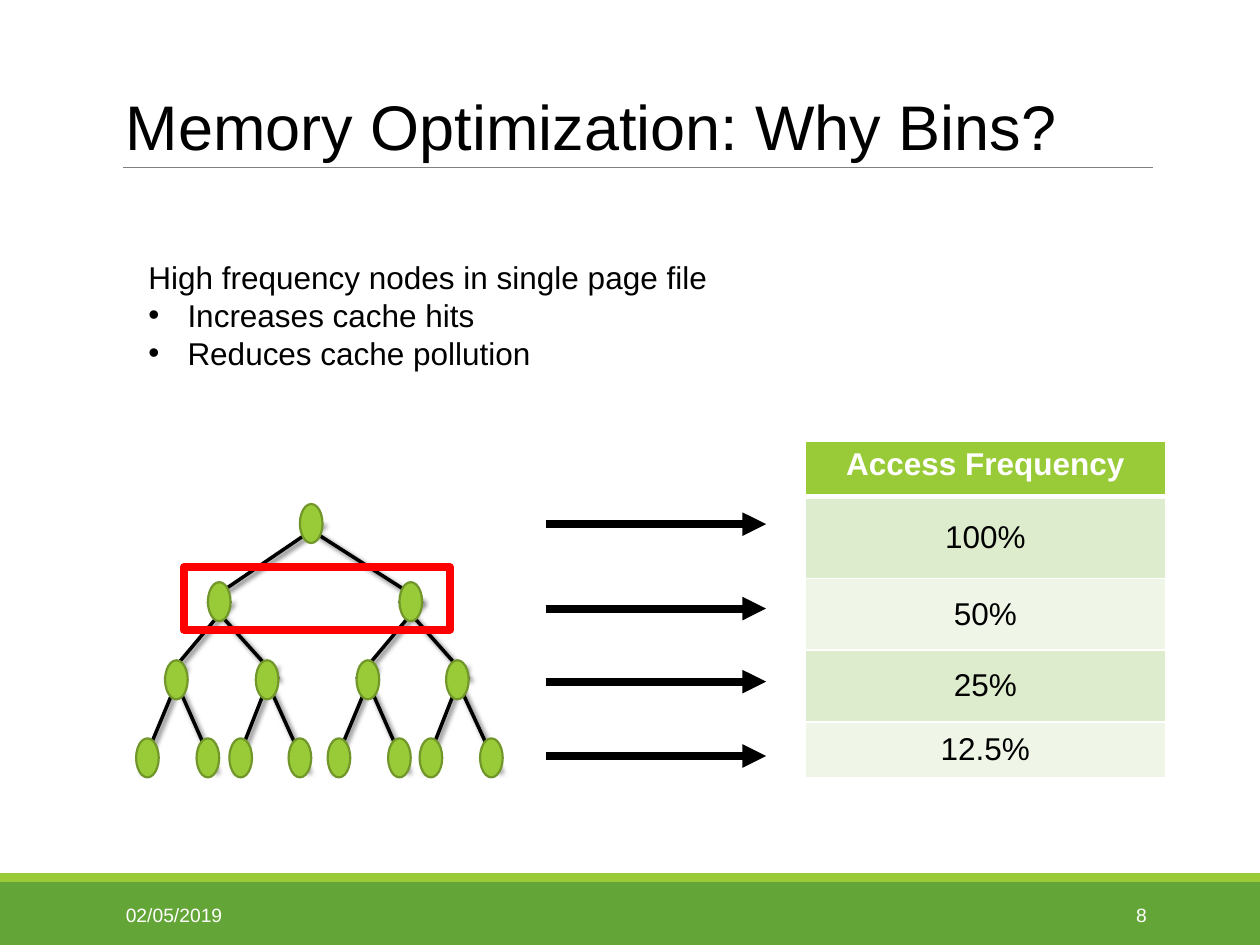
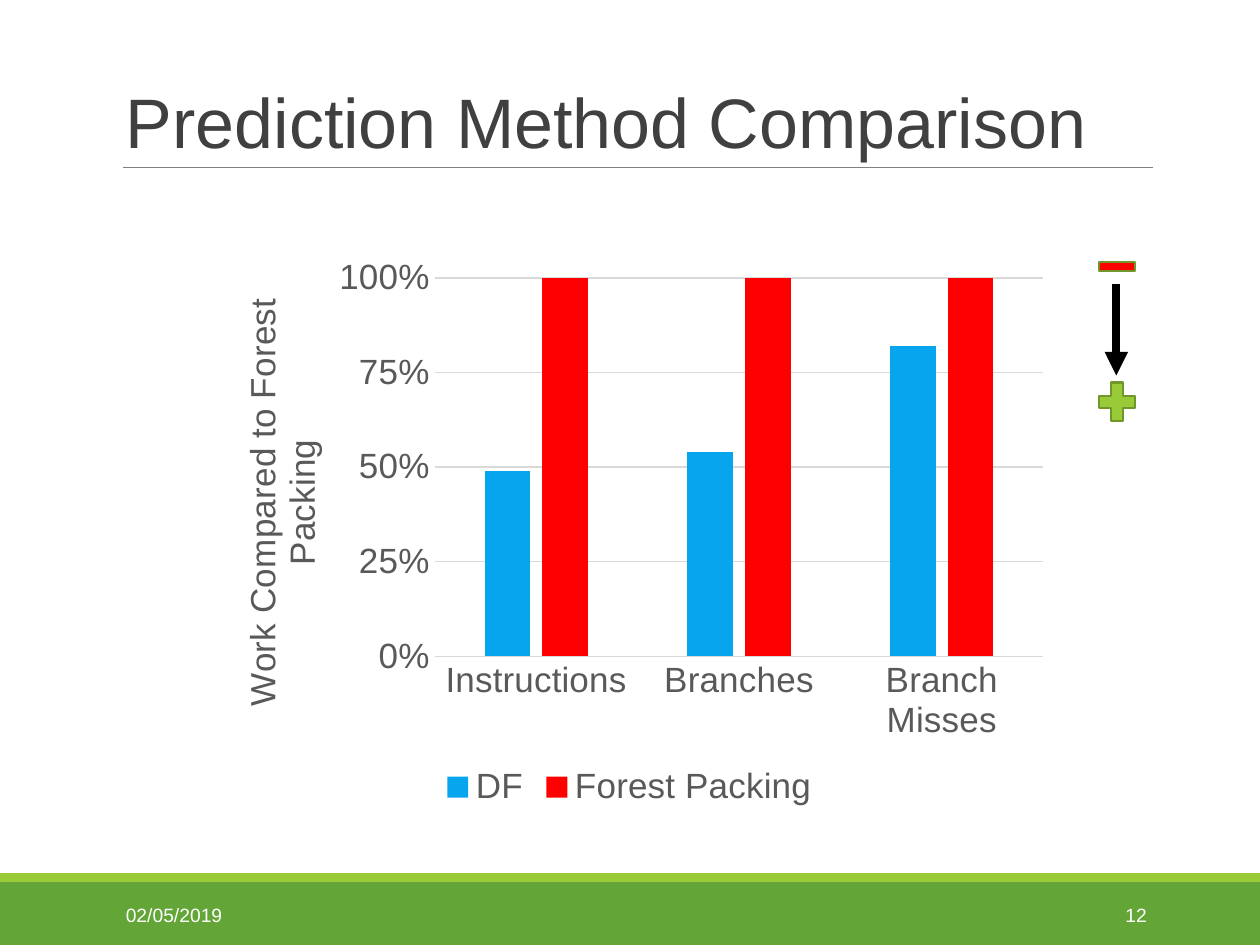
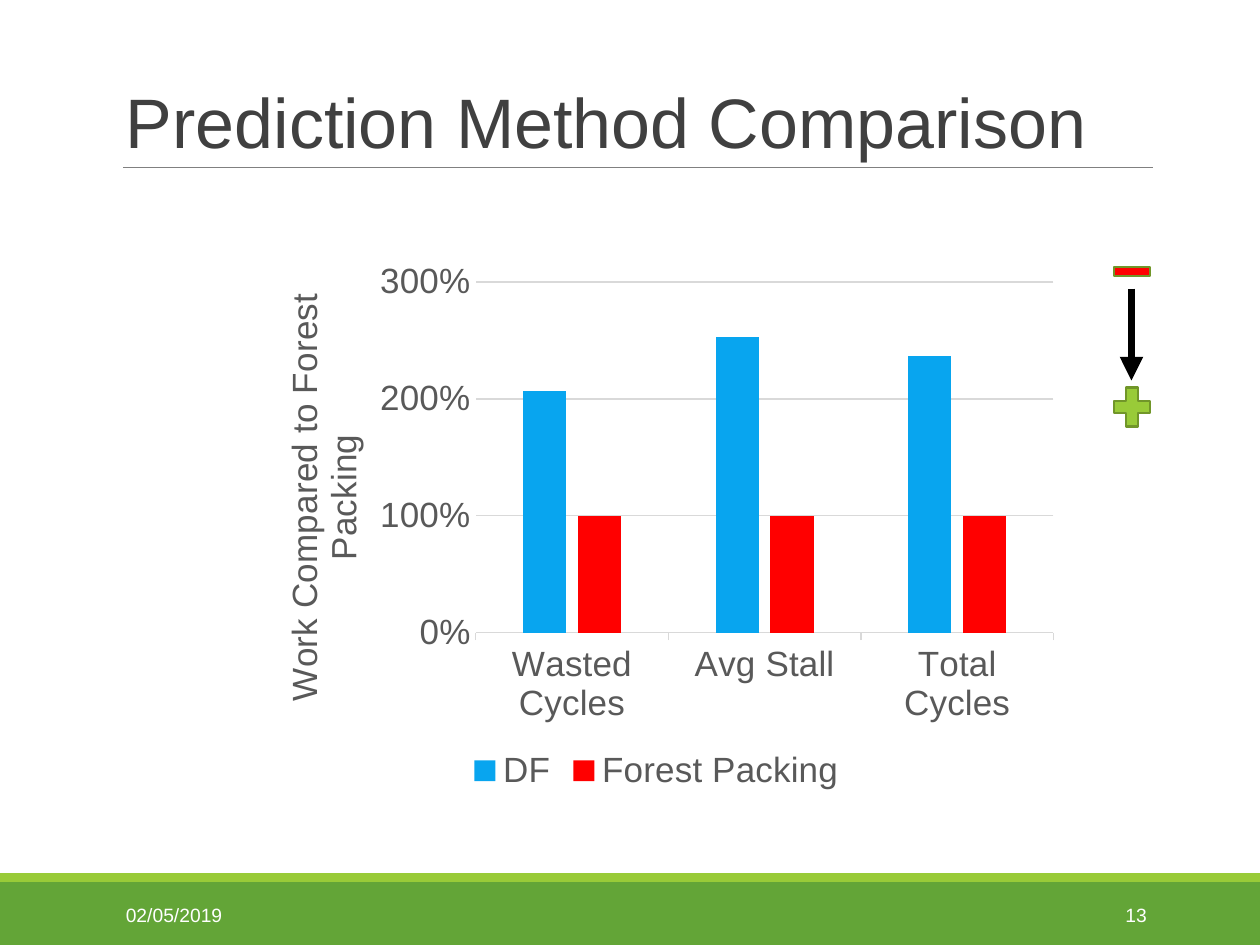
from dataclasses import dataclass

from lxml.etree import SubElement
from pptx import Presentation
from pptx.chart.data import CategoryChartData
from pptx.dml.color import RGBColor
from pptx.enum.chart import XL_CHART_TYPE as ChartType
from pptx.enum.chart import XL_LEGEND_POSITION as LegendPosition
from pptx.enum.chart import XL_TICK_MARK as TickMark
from pptx.enum.shapes import MSO_CONNECTOR as Connector
from pptx.enum.shapes import MSO_SHAPE as Preset
from pptx.enum.text import MSO_ANCHOR as Anchor
from pptx.enum.text import MSO_AUTO_SIZE as AutoSize
from pptx.enum.text import PP_ALIGN as Align
from pptx.oxml import parse_xml
from pptx.oxml.ns import nsdecls, qn
from pptx.util import Emu, Inches, Pt


# Theme
@dataclass(frozen=True)
class Theme:
    font: str = "Arial"
    black: str = "000000"
    white: str = "FFFFFF"
    dark_green: str = "63A537"
    green: str = "99CB38"
    outline: str = "719629"
    red: str = "FF0000"
    blue: str = "08A5EF"
    title_gray: str = "404040"
    rule_gray: str = "808080"
    chart_gray: str = "595959"
    grid_gray: str = "D9D9D9"
    row_tints: tuple[str, str] = ("DEECCE", "EFF6E8")
    title_size: int = 40
    small_title_size: int = 36
    chart_size: int = 20
    body_size: int = 18
    footer_size: int = 11
    arrow_width: float = 4.5


THEME = Theme()


@dataclass(frozen=True)
class Box:
    left: float
    top: float
    width: float
    height: float

    def lengths(self) -> tuple[Emu, Emu, Emu, Emu]:
        return Inches(self.left), Inches(self.top), Inches(self.width), Inches(self.height)


@dataclass(frozen=True)
class Layout:
    """Manual chart layout in fractions of the chart frame."""
    x: float
    y: float
    width: float = 0
    height: float = 0


@dataclass(frozen=True)
class ComparisonSlide:
    number: int
    frame: Box
    plot: Layout
    axis_title: Layout
    categories: tuple[str, ...]
    depth_first: tuple[float, ...]
    maximum: float
    major_unit: float
    category_tick: TickMark
    key_left: float


COMPARISONS = (
    ComparisonSlide(12, Box(1.58, 1.96, 6.83, 4.5), Layout(0.274, 0.055, 0.707, 0.667),
                    Layout(0.04, 0.08), ("Instructions", "Branches", "Branch Misses"),
                    (0.49, 0.54, 0.82), 1, 0.25, TickMark.NONE, 8.67),
    ComparisonSlide(13, Box(1.92, 2, 6.58, 4.33), Layout(0.282, 0.055, 0.697, 0.643),
                    Layout(0.04, 0.065), ("Wasted Cycles", "Avg Stall", "Total Cycles"),
                    (2.07, 2.53, 2.37), 3, 1, TickMark.OUTSIDE, 8.79),
)

# Tree nodes: left edges by level, children of node i are 2i and 2i + 1
TREE_LEVELS = (
    (2.38,),
    (1.65, 3.17),
    (1.31, 2.03, 2.83, 3.54),
    (1.08, 1.56, 1.82, 2.29, 2.6, 3.08, 3.33, 3.81),
)
TREE_TOP, LEVEL_STEP = 4, 0.62
NODE_WIDTH, NODE_HEIGHT = 0.18, 0.31

TABLE_ROWS = (("Access Frequency", 0.44), ("100%", 0.65), ("50%", 0.57),
              ("25%", 0.57), ("12.5%", 0.44))
ARROW_TOPS = (4.16, 4.83, 5.41, 6)


# Shared drawing helpers
def rgb(color: str) -> RGBColor:
    return RGBColor.from_string(color)


def set_font(font, size: int, color: str, bold: bool = False) -> None:
    font.name, font.size, font.bold = THEME.font, Pt(size), bold
    font.color.rgb = rgb(color)


def add_text(slide, box: Box, lines: tuple[str, ...], size: int, color: str,
             anchor=Anchor.TOP, align=Align.LEFT):
    frame = slide.shapes.add_textbox(*box.lengths()).text_frame
    frame.word_wrap = True
    frame.vertical_anchor = anchor
    frame.text = "\n".join(lines)
    for paragraph in frame.paragraphs:
        paragraph.alignment = align
        for run in paragraph.runs:
            set_font(run.font, size, color)
    return frame


def add_preset(shapes, preset, box: Box, fill: str | None = None,
               line: str | None = None, line_width: float = 1.25):
    shape = shapes.add_shape(preset, *box.lengths())
    shape.shadow.inherit = False
    if fill:
        shape.fill.solid()
        shape.fill.fore_color.rgb = rgb(fill)
    else:
        shape.fill.background()
    if line:
        shape.line.color.rgb = rgb(line)
        shape.line.width = Pt(line_width)
    else:
        shape.line.fill.background()
    return shape


def add_line(shapes, start: tuple[float, float], end: tuple[float, float], color: str,
             width: float, arrow: bool = False, shadow: bool = False) -> None:
    connector = shapes.add_connector(Connector.STRAIGHT, *map(Inches, start + end))
    connector.line.color.rgb = rgb(color)
    connector.line.width = Pt(width)
    properties = connector._element.spPr
    if arrow:
        SubElement(properties.find(qn("a:ln")), qn("a:tailEnd"), type="triangle")
    effects = SubElement(properties, qn("a:effectLst"))
    if shadow:
        outer = SubElement(effects, qn("a:outerShdw"), blurRad=str(Pt(3)),
                           dist=str(Pt(2)), dir="2700000", algn="tl", rotWithShape="0")
        shade = SubElement(outer, qn("a:srgbClr"), val=THEME.black)
        SubElement(shade, qn("a:alpha"), val="60000")


def add_arrow(slide, start: tuple[float, float], end: tuple[float, float]) -> None:
    add_line(slide.shapes, start, end, THEME.black, THEME.arrow_width, arrow=True)


def add_base_slide(presentation, title: str, number: int,
                   title_size: int = THEME.title_size, title_color: str = THEME.title_gray):
    slide = presentation.slides.add_slide(presentation.slide_layouts[6])
    add_preset(slide.shapes, Preset.RECTANGLE, Box(0, 7, 10, 0.5), THEME.dark_green)
    add_preset(slide.shapes, Preset.RECTANGLE, Box(0, 6.93, 10, 0.07), THEME.green)
    add_line(slide.shapes, (0.98, 1.33), (9.15, 1.33), THEME.rule_gray, 0.5)
    add_text(slide, Box(0.9, 0.4, 8.25, 0.94), (title,), title_size, title_color, Anchor.BOTTOM)
    add_text(slide, Box(0.9, 7.06, 2.03, 0.4), ("02/05/2019",), THEME.footer_size,
             THEME.white, Anchor.MIDDLE)
    add_text(slide, Box(8.12, 7.06, 1.08, 0.4), (str(number),), THEME.footer_size,
             THEME.white, Anchor.MIDDLE, Align.RIGHT)
    return slide


# Bins slide
def add_tree(slide) -> None:
    shapes = slide.shapes.add_group_shape().shapes
    tops = [TREE_TOP + level * LEVEL_STEP for level in range(len(TREE_LEVELS))]
    for level in range(1, len(TREE_LEVELS)):
        # Leaf edges join the ellipses on their diagonals, the others at the sides
        is_leaf = level == len(TREE_LEVELS) - 1
        near, far = (0.03, 0.15) if is_leaf else (0, NODE_WIDTH)
        child_drop, parent_drop = (0.26, 0.04) if is_leaf else (0.15, 0.15)
        for index, left in enumerate(TREE_LEVELS[level]):
            parent_left = TREE_LEVELS[level - 1][index // 2]
            child_side, parent_side = (far, near) if index % 2 else (near, far)
            add_line(shapes, (left + child_side, tops[level] + child_drop),
                     (parent_left + parent_side, tops[level - 1] + parent_drop),
                     THEME.black, 2, shadow=True)
    for top, lefts in zip(tops, TREE_LEVELS):
        for left in lefts:
            add_preset(shapes, Preset.OVAL, Box(left, top, NODE_WIDTH, NODE_HEIGHT),
                       THEME.green, THEME.outline)


def set_borders(cell, bottom_width: float) -> None:
    properties = cell._tc.get_or_add_tcPr()
    sides = (("L", 1), ("R", 1), ("T", 1), ("B", bottom_width))
    for position, (side, width) in enumerate(sides):
        properties.insert(position, parse_xml(
            f'<a:ln{side} {nsdecls("a")} w="{Pt(width)}"><a:solidFill>'
            f'<a:srgbClr val="{THEME.white}"/></a:solidFill></a:ln{side}>'))


def add_frequency_table(slide) -> None:
    box = Box(6.39, 3.5, 2.86, sum(height for _, height in TABLE_ROWS))
    table = slide.shapes.add_table(len(TABLE_ROWS), 1, *box.lengths()).table
    for index, (text, height) in enumerate(TABLE_ROWS):
        is_header = index == 0
        table.rows[index].height = Inches(height)
        cell = table.cell(index, 0)
        cell.text = text
        cell.vertical_anchor = Anchor.TOP if is_header else Anchor.MIDDLE
        cell.fill.solid()
        cell.fill.fore_color.rgb = rgb(THEME.green if is_header
                                       else THEME.row_tints[(index - 1) % 2])
        paragraph = cell.text_frame.paragraphs[0]
        paragraph.alignment = Align.CENTER
        set_font(paragraph.runs[0].font, THEME.body_size,
                 THEME.white if is_header else THEME.black, is_header)
        set_borders(cell, 3 if is_header or index == 0 else 1)
        if index == 1:
            cell._tc.tcPr.find(qn("a:lnT")).set("w", str(Pt(3)))


def add_bins_slide(presentation) -> None:
    slide = add_base_slide(presentation, "Memory Optimization: Why Bins?", 8,
                           THEME.small_title_size, THEME.black)
    add_tree(slide)
    add_frequency_table(slide)
    for top in ARROW_TOPS:
        add_arrow(slide, (4.33, top), (6.08, top))
    add_preset(slide.shapes, Preset.RECTANGLE, Box(1.46, 4.5, 2.11, 0.5),
               line=THEME.red, line_width=THEME.arrow_width)
    frame = add_text(slide, Box(1.08, 2, 4.68, 1.31),
                     ("High frequency nodes in single page file", "Increases cache hits",
                      "Reduces cache pollution"), THEME.body_size, THEME.black)
    frame.word_wrap = False
    frame.auto_size = AutoSize.SHAPE_TO_FIT_TEXT
    for paragraph in frame.paragraphs[1:]:
        properties = paragraph._p.get_or_add_pPr()
        properties.set("marL", str(Inches(0.31)))
        properties.set("indent", str(Inches(-0.31)))
        SubElement(properties, qn("a:buFont"), typeface=THEME.font)
        SubElement(properties, qn("a:buChar"), char="•")


# Comparison slides
def layout_xml(layout: Layout, inner: bool = False):
    values = [("xMode", "edge"), ("yMode", "edge"), ("x", layout.x), ("y", layout.y)]
    if inner:
        values = [("layoutTarget", "inner"), *values, ("w", layout.width), ("h", layout.height)]
    children = "".join(f'<c:{name} val="{value}"/>' for name, value in values)
    return parse_xml(f'<c:layout {nsdecls("c")}><c:manualLayout>{children}'
                     '</c:manualLayout></c:layout>')


def replace_layout(parent, layout, position: int) -> None:
    for old in parent.findall(qn("c:layout")):
        parent.remove(old)
    parent.insert(position, layout)


def add_comparison_chart(slide, content: ComparisonSlide) -> None:
    data = CategoryChartData(number_format="0%")
    data.categories = content.categories
    data.add_series("DF", content.depth_first)
    data.add_series("Forest Packing", (1,) * len(content.categories))
    chart = slide.shapes.add_chart(ChartType.COLUMN_CLUSTERED, *content.frame.lengths(),
                                   data).chart
    set_font(chart.font, THEME.chart_size, THEME.chart_gray)
    chart.has_title = False
    chart.has_legend = True
    chart.legend.position = LegendPosition.BOTTOM
    chart.legend.include_in_layout = False
    set_font(chart.legend.font, THEME.chart_size, THEME.chart_gray)

    plot = chart.plots[0]
    plot.gap_width, plot.overlap, plot.vary_by_categories = 219, -27, False
    for series, color in zip(plot.series, (THEME.blue, THEME.red)):
        series.format.fill.solid()
        series.format.fill.fore_color.rgb = rgb(color)

    category_axis, value_axis = chart.category_axis, chart.value_axis
    for axis in (category_axis, value_axis):
        axis.major_tick_mark = axis.minor_tick_mark = TickMark.NONE
        set_font(axis.tick_labels.font, THEME.chart_size, THEME.chart_gray)
    category_axis.major_tick_mark = content.category_tick
    value_axis.has_major_gridlines = True
    for line in (category_axis.format.line, value_axis.major_gridlines.format.line):
        line.color.rgb = rgb(THEME.grid_gray)
        line.width = Pt(0.75)
    value_axis.format.line.fill.background()
    value_axis.minimum_scale, value_axis.maximum_scale = 0, content.maximum
    value_axis.major_unit = content.major_unit
    value_axis.tick_labels.number_format = "0%"
    value_axis.tick_labels.number_format_is_linked = False

    title = value_axis.axis_title
    title.text_frame.text = "Work Compared to Forest Packing"
    set_font(title.text_frame.paragraphs[0].runs[0].font, THEME.chart_size, THEME.chart_gray)
    body = title.text_frame._txBody.find(qn("a:bodyPr"))
    body.set("rot", "-5400000")
    body.set("vert", "horz")
    replace_layout(title._element, layout_xml(content.axis_title), 1)
    replace_layout(chart._chartSpace.chart.plotArea, layout_xml(content.plot, inner=True), 0)


def add_direction_key(slide, left: float, top: float) -> None:
    add_arrow(slide, (left + 0.19, top + 0.29), (left + 0.19, top + 1.02))
    add_preset(slide.shapes, Preset.MATH_MINUS, Box(left, top, 0.39, 0.31),
               THEME.red, THEME.outline)
    add_preset(slide.shapes, Preset.MATH_PLUS, Box(left, top + 1.02, 0.39, 0.42),
               THEME.green, THEME.outline)


def add_comparison_slide(presentation, content: ComparisonSlide) -> None:
    slide = add_base_slide(presentation, "Prediction Method Comparison", content.number)
    add_comparison_chart(slide, content)
    add_direction_key(slide, content.key_left, content.frame.top)


def main() -> None:
    presentation = Presentation()
    presentation.slide_width, presentation.slide_height = Inches(10), Inches(7.5)
    add_bins_slide(presentation)
    for content in COMPARISONS:
        add_comparison_slide(presentation, content)
    presentation.save("out.pptx")


if __name__ == "__main__":
    main()
